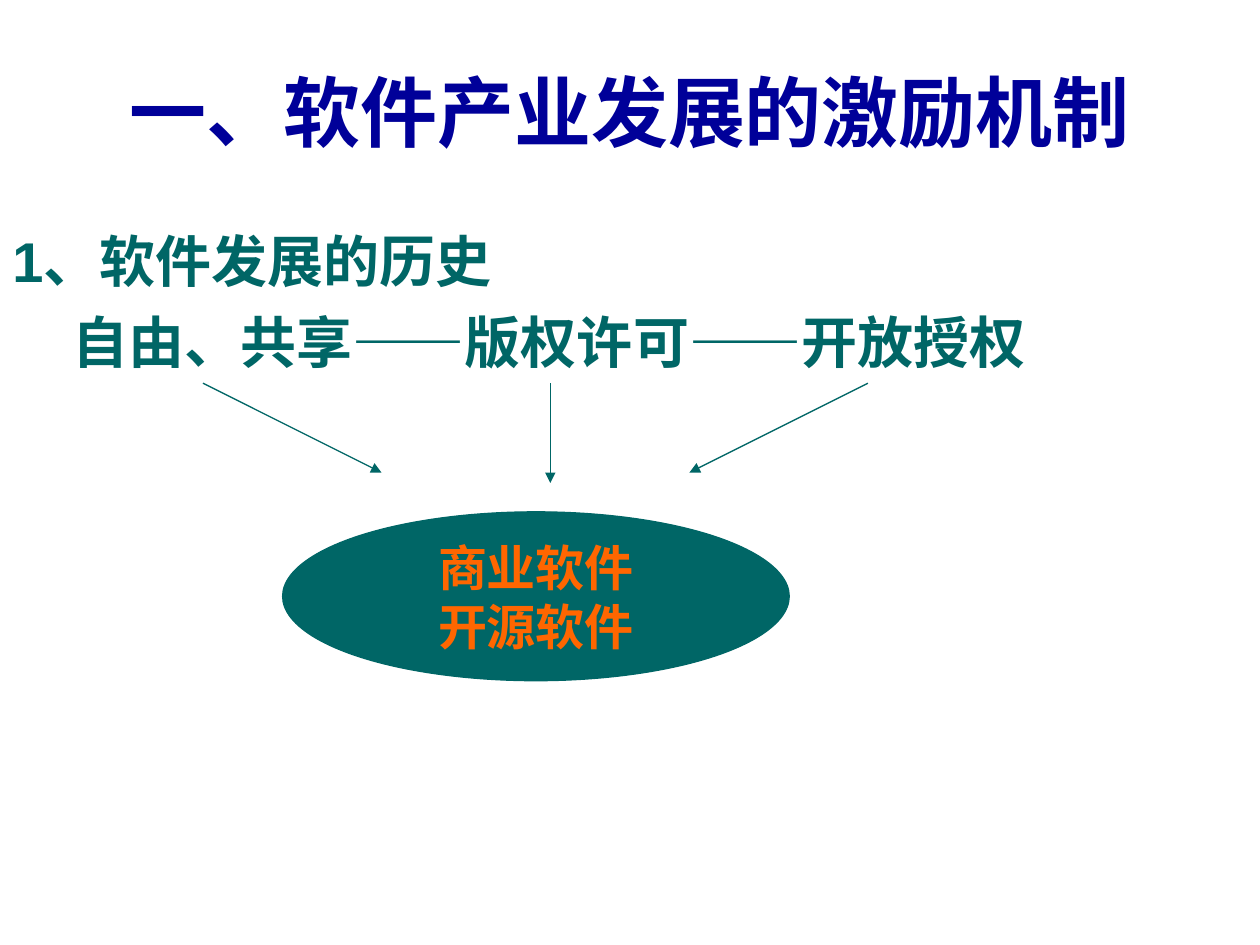
from lxml.etree import SubElement
from pptx import Presentation
from pptx.dml.color import RGBColor
from pptx.enum.shapes import MSO_CONNECTOR, MSO_SHAPE
from pptx.enum.text import MSO_ANCHOR, PP_ALIGN
from pptx.oxml.ns import qn
from pptx.util import Pt

TITLE = "一、软件产业发展的激励机制"
HISTORY = [("1、软件发展的历史", 0), ("自由、共享——版权许可——开放授权", 34.5)]
KINDS = [("商业软件", 0), ("开源软件", 0)]
ARROWS = [
    ((116, 219), (218, 270)),
    ((496, 219), (394, 270)),
    ((314.5, 219), (314.5, 276)),
]
COLORS = {"title": "000099", "teal": "006666", "orange": "FF6600"}


def color(name):
    return RGBColor.from_string(COLORS[name])


def write(frame, lines, size, tint, align=PP_ALIGN.LEFT, anchor=MSO_ANCHOR.TOP,
          before=0, wrap=True):
    frame.word_wrap = wrap
    frame.vertical_anchor = anchor
    for i, (text, indent) in enumerate(lines):
        para = frame.add_paragraph() if i else frame.paragraphs[0]
        para.alignment = align
        para.space_before = Pt(before)
        if indent:
            para._p.get_or_add_pPr().set("marL", str(Pt(indent)))
        run = para.add_run()
        run.text = text
        font = run.font
        font.name, font.size, font.bold = "Arial", Pt(size), True
        font.color.rgb = color(tint)


def arrow(slide, start, end):
    line = slide.shapes.add_connector(
        MSO_CONNECTOR.STRAIGHT, *map(Pt, start + end))
    line.line.color.rgb = color("teal")
    line.line.width = Pt(0.75)
    SubElement(line.line._get_or_add_ln(), qn("a:tailEnd"), type="triangle")
    SubElement(line._element.spPr, qn("a:effectLst"))


def main():
    deck = Presentation()
    deck.slide_width, deck.slide_height = Pt(720), Pt(540)
    slide = deck.slides.add_slide(deck.slide_layouts[5])

    title = slide.shapes.title
    title.left, title.top, title.width, title.height = map(Pt, (24, 18, 672, 90))
    write(title.text_frame, [(TITLE, 0)], 44, "title",
          align=PP_ALIGN.CENTER, anchor=MSO_ANCHOR.MIDDLE)

    body = slide.shapes.add_textbox(*map(Pt, (0, 126, 696, 354)))
    write(body.text_frame, HISTORY, 32, "teal", before=8)

    for start, end in ARROWS:
        arrow(slide, start, end)

    oval = slide.shapes.add_shape(
        MSO_SHAPE.OVAL, *map(Pt, (161.5, 292.5, 289.5, 96.5)))
    oval.shadow.inherit = False
    oval.fill.solid()
    oval.fill.fore_color.rgb = color("teal")
    oval.line.color.rgb = color("teal")
    oval.line.width = Pt(0.75)
    write(oval.text_frame, KINDS, 28, "orange", align=PP_ALIGN.CENTER,
          anchor=MSO_ANCHOR.MIDDLE, wrap=False)

    deck.save("out.pptx")


if __name__ == "__main__":
    main()
